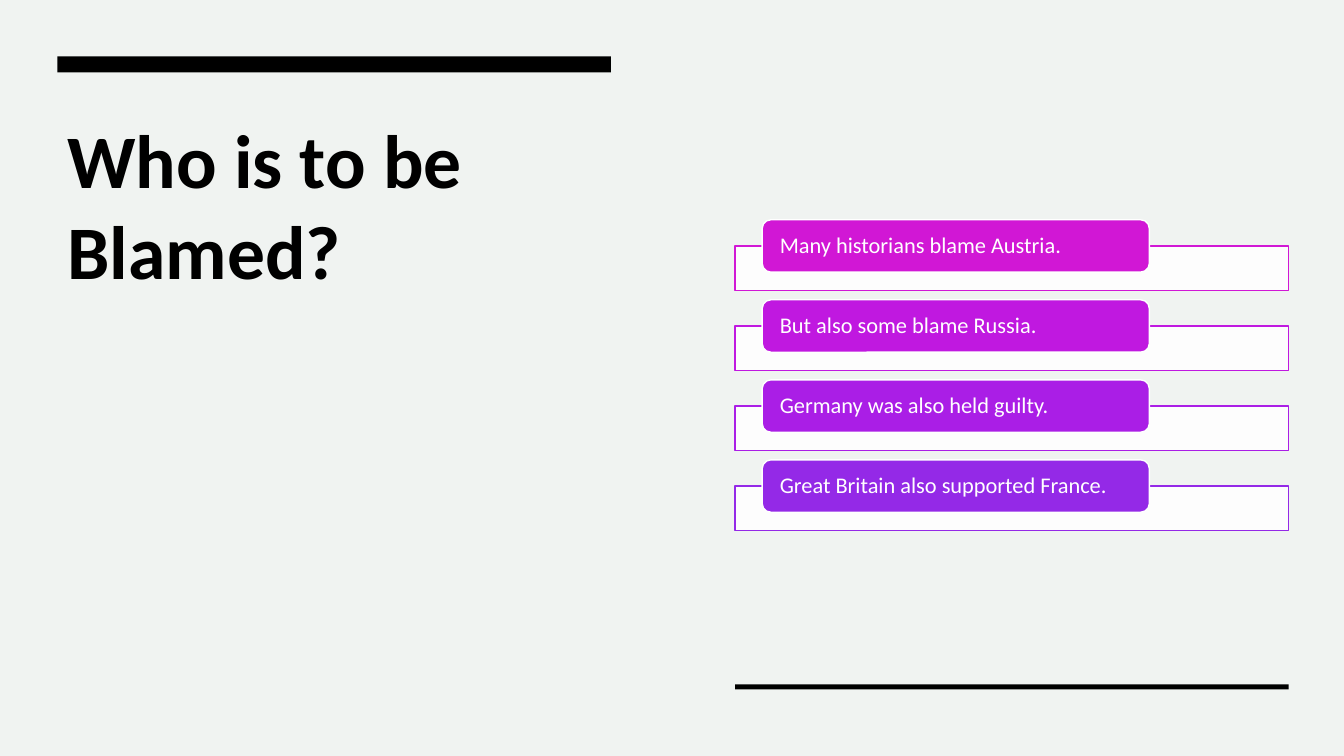
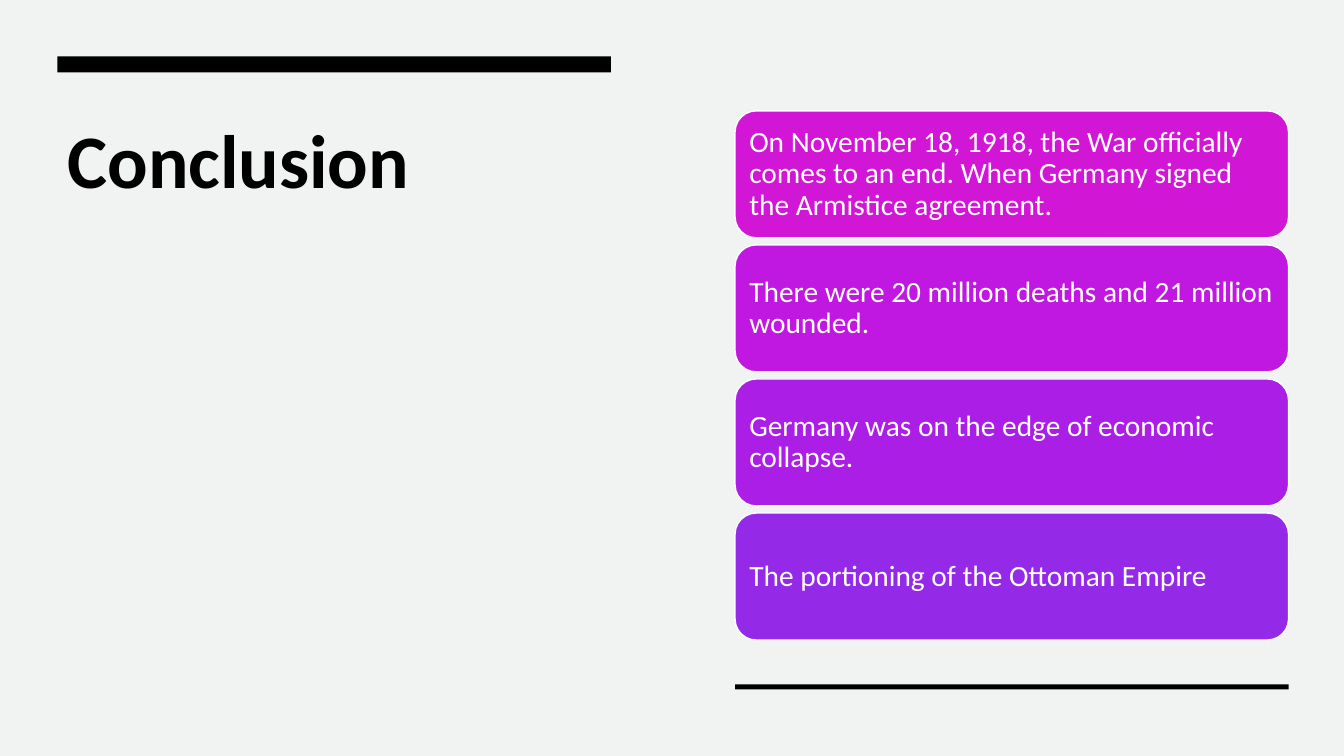
import pptx
import pptx.dml.color
import pptx.enum.shapes
import pptx.enum.text
import pptx.oxml
import pptx.oxml.ns
import pptx.util

Inches = pptx.util.Inches
Pt = pptx.util.Pt
RGBColor = pptx.dml.color.RGBColor
Shape = pptx.enum.shapes.MSO_SHAPE
Anchor = pptx.enum.text.MSO_ANCHOR
Align = pptx.enum.text.PP_ALIGN

# Content
BLAME_TITLE = "Who is to be Blamed?"
BLAME_ITEMS = [
    "Many historians blame Austria.",
    "But also some blame Russia.",
    "Germany was also held guilty.",
    "Great Britain also supported France.",
]
CONCLUSION_TITLE = "Conclusion"
CONCLUSION_ITEMS = [
    "On November 18, 1918, the War officially comes to an end. "
    "When Germany signed the Armistice agreement.",
    "There were 20 million deaths and 21 million wounded.",
    "Germany was on the edge of economic collapse.",
    "The portioning of the Ottoman Empire",
]

# Shared style
FONT = "Calibri"
BACKGROUND = RGBColor(0xF0, 0xF3, 0xF1)
BLACK = RGBColor(0x00, 0x00, 0x00)
WHITE = RGBColor(0xFF, 0xFF, 0xFF)
ACCENTS = [
    RGBColor(0xD1, 0x17, 0xD5),
    RGBColor(0xC0, 0x18, 0xE0),
    RGBColor(0xAA, 0x1E, 0xE6),
    RGBColor(0x94, 0x29, 0xE7),
]
LEFT_COLUMN = 0.57
RIGHT_COLUMN = 7.29
COLUMN_WIDTH = 5.49


def add_box(slide, kind, left, top, width, height, fill, line=None):
    shape = slide.shapes.add_shape(
        kind, Inches(left), Inches(top), Inches(width), Inches(height))
    shape.shadow.inherit = False
    shape.fill.solid()
    shape.fill.fore_color.rgb = fill
    if line is None:
        shape.line.fill.background()
    else:
        shape.line.color.rgb = line
        shape.line.width = Pt(1)
    return shape


def set_opacity(shape, percent):
    color = shape.fill._xPr.find(".//" + pptx.oxml.ns.qn("a:srgbClr"))
    color.append(pptx.oxml.parse_xml(
        f'<a:alpha {pptx.oxml.ns.nsdecls("a")} val="{percent * 1000}"/>'))


def write_text(shape, text, size, color, bold=False):
    frame = shape.text_frame
    frame.word_wrap = True
    frame.text = text
    paragraph = frame.paragraphs[0]
    paragraph.alignment = Align.LEFT
    paragraph.font.name = FONT
    paragraph.font.size = Pt(size)
    paragraph.font.bold = bold
    paragraph.font.color.rgb = color
    return frame


def add_label(slide, text, size, accent, left, top, width, height, insets):
    label = add_box(slide, Shape.ROUNDED_RECTANGLE,
                    left, top, width, height, accent, WHITE)
    frame = write_text(label, text, size, WHITE)
    frame.vertical_anchor = Anchor.MIDDLE
    frame.paragraphs[0].line_spacing = 0.9
    horizontal, vertical = insets
    frame.margin_left = frame.margin_right = Inches(horizontal)
    frame.margin_top = frame.margin_bottom = Inches(vertical)


def add_titled_slide(presentation, title):
    slide = presentation.slides.add_slide(presentation.slide_layouts[6])
    title_box = slide.shapes.add_textbox(
        Inches(LEFT_COLUMN), Inches(1.07), Inches(COLUMN_WIDTH), Inches(2.68))
    write_text(title_box, title, 54, BLACK, bold=True)
    # Bar above the title and rule below the right column
    add_box(slide, Shape.RECTANGLE, LEFT_COLUMN, 0.56, COLUMN_WIDTH, 0.16, BLACK)
    add_box(slide, Shape.RECTANGLE, RIGHT_COLUMN, 6.79, COLUMN_WIDTH, 0.05, BLACK)
    return slide


def add_blame_list(slide):
    first_top, pitch = 2.18, 0.794
    for index, (text, accent) in enumerate(zip(BLAME_ITEMS, ACCENTS)):
        top = first_top + index * pitch
        panel = add_box(slide, Shape.RECTANGLE, RIGHT_COLUMN, top + 0.26,
                        COLUMN_WIDTH, 0.44, WHITE, accent)
        set_opacity(panel, 90)
        add_label(slide, text, 16, accent, RIGHT_COLUMN + 0.27, top,
                  3.84, 0.52, (0.15, 0))


def add_conclusion_cards(slide):
    first_top, pitch = 1.1, 1.33
    for index, (text, accent) in enumerate(zip(CONCLUSION_ITEMS, ACCENTS)):
        add_label(slide, text, 21, accent, RIGHT_COLUMN,
                  first_top + index * pitch, COLUMN_WIDTH, 1.26, (0.08, 0.08))


def main():
    presentation = pptx.Presentation()
    presentation.slide_width = Inches(13.33)
    presentation.slide_height = Inches(7.5)
    background = presentation.slide_master.background.fill
    background.solid()
    background.fore_color.rgb = BACKGROUND

    add_blame_list(add_titled_slide(presentation, BLAME_TITLE))
    add_conclusion_cards(add_titled_slide(presentation, CONCLUSION_TITLE))
    presentation.save("out.pptx")


if __name__ == "__main__":
    main()
